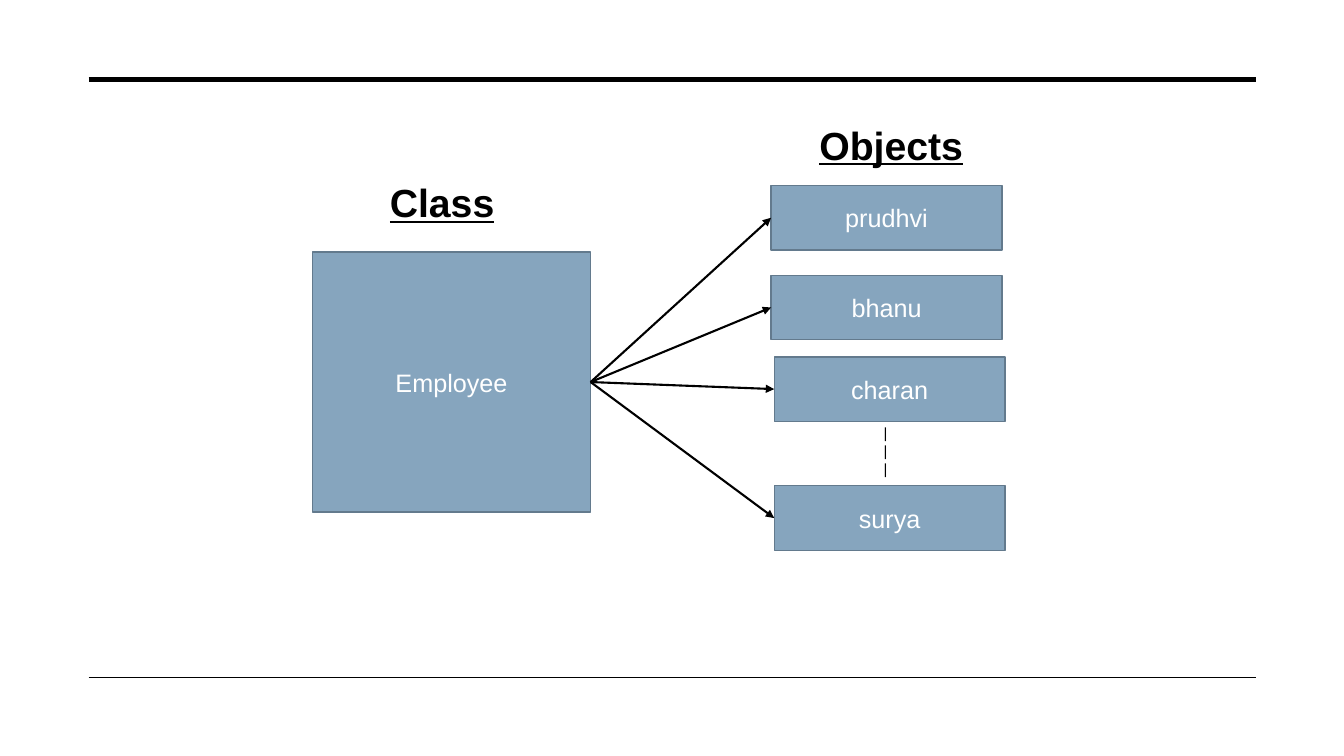
import pptx
import pptx.util
import pptx.dml.color
import pptx.enum.shapes
import pptx.enum.text
import pptx.oxml
import pptx.oxml.ns

Pt = pptx.util.Pt
ALIGN = pptx.enum.text.PP_ALIGN
ANCHOR = pptx.enum.text.MSO_ANCHOR

# Content: lengths in points
SLIDE_SIZE = (960, 540)
BLACK, WHITE, BOX_FILL, BOX_LINE = "000000", "FFFFFF", "86A5BE", "637A8D"
RULES = [(56.9, 3.5), (483.8, 1)]  # y, thickness
RULE_LEFT, RULE_RIGHT = 63.4, 897.1
HEADINGS = [("Class", 271.4, 123.8), ("Objects", 578.2, 82.8)]  # text, left, top
EMPLOYEE = ("Employee", 223.2, 180, 198.7, 185.8)
OBJECT_SIZE = (164.9, 46.1)
OBJECTS = [  # text, left, top
    ("prudhvi", 550.8, 132.5),
    ("bhanu", 550.8, 196.6),
    ("charan", 553, 254.9),
    ("surya", 553, 347),
]
MORE_OBJECTS = ("|\n|\n|", 624.2, 299.5, 216, 45.4)


def color(hex_code):
    return pptx.dml.color.RGBColor.from_string(hex_code)


def write(frame, text, size=18, ink=BLACK, bold=False, underline=False,
          align=ALIGN.LEFT, anchor=ANCHOR.TOP):
    frame.word_wrap = True
    frame.vertical_anchor = anchor
    frame.text = text
    for paragraph in frame.paragraphs:
        paragraph.alignment = align
        font = paragraph.runs[0].font
        font.name, font.size = "Arial", Pt(size)
        font.bold, font.underline = bold, underline
        font.color.rgb = color(ink)


def add_label(slide, text, left, top, width, height, **style):
    label = slide.shapes.add_textbox(Pt(left), Pt(top), Pt(width), Pt(height))
    write(label.text_frame, text, **style)


def add_box(slide, text, left, top, width, height):
    box = slide.shapes.add_shape(pptx.enum.shapes.MSO_SHAPE.RECTANGLE,
                                 Pt(left), Pt(top), Pt(width), Pt(height))
    box.shadow.inherit = False
    box.fill.solid()
    box.fill.fore_color.rgb = color(BOX_FILL)
    box.line.color.rgb = color(BOX_LINE)
    box.line.width = Pt(1)
    write(box.text_frame, text, ink=WHITE, align=ALIGN.CENTER, anchor=ANCHOR.MIDDLE)
    return box


def add_line(slide, x1, y1, x2, y2, thickness):
    line = slide.shapes.add_connector(pptx.enum.shapes.MSO_CONNECTOR.STRAIGHT,
                                      Pt(x1), Pt(y1), Pt(x2), Pt(y2))
    line.line.color.rgb = color(BLACK)
    line.line.width = Pt(thickness)
    properties = line.line._get_or_add_ln().getparent()
    properties.append(pptx.oxml.parse_xml(
        "<a:effectLst %s/>" % pptx.oxml.ns.nsdecls("a")))
    return line


def add_arrow(slide, source, target):
    arrow = add_line(slide, 0, 0, 0, 0, 1.5)
    arrow.begin_connect(source, 3)
    arrow.end_connect(target, 1)
    arrow.line._get_or_add_ln().append(pptx.oxml.parse_xml(
        '<a:tailEnd %s type="triangle"/>' % pptx.oxml.ns.nsdecls("a")))


def main():
    deck = pptx.Presentation()
    deck.slide_width, deck.slide_height = map(Pt, SLIDE_SIZE)
    slide = deck.slides.add_slide(deck.slide_layouts[6])

    # Rules above and below
    for y, thickness in RULES:
        add_line(slide, RULE_LEFT, y, RULE_RIGHT, y, thickness)

    # Class and its objects
    employee = add_box(slide, *EMPLOYEE)
    for name, left, top in OBJECTS:
        add_arrow(slide, employee, add_box(slide, name, left, top, *OBJECT_SIZE))
    add_label(slide, *MORE_OBJECTS, size=10.5)

    # Headings
    for text, left, top in HEADINGS:
        add_label(slide, text, left, top, 216, 41, size=28, bold=True, underline=True)

    deck.save("out.pptx")


if __name__ == "__main__":
    main()
